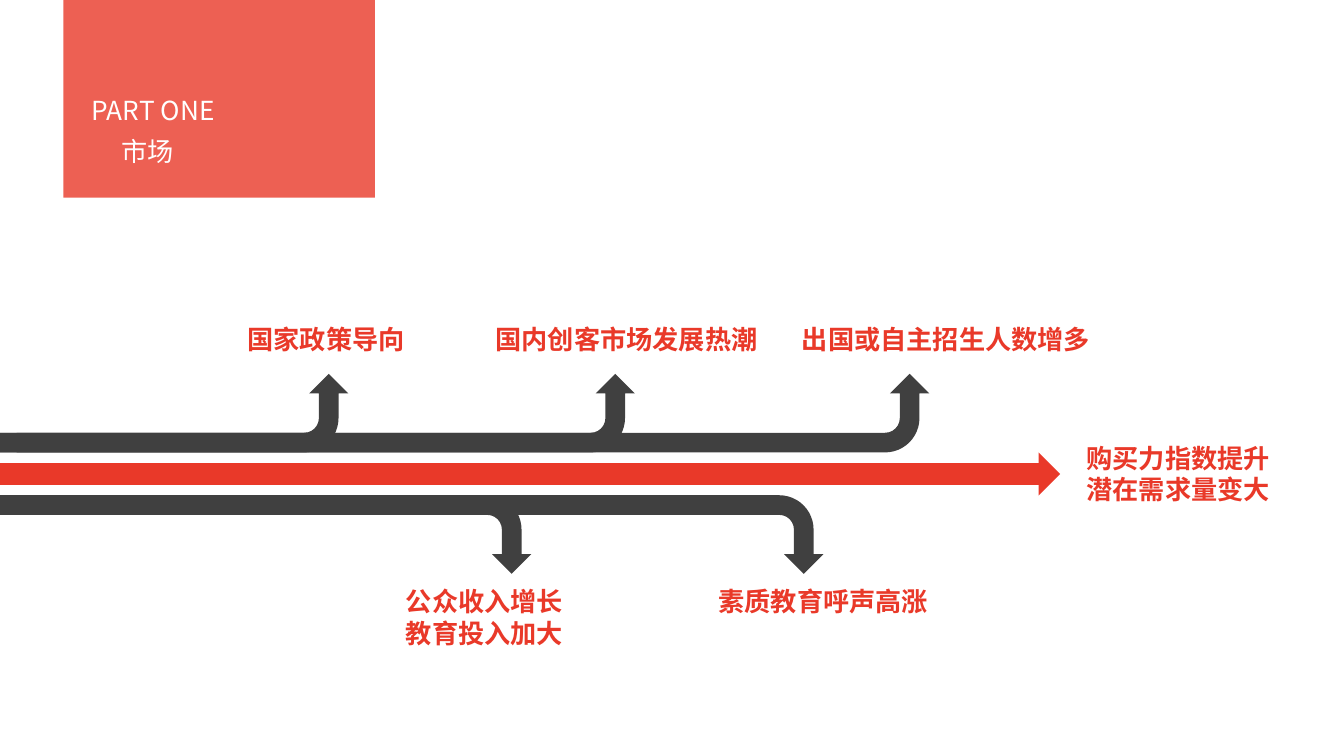
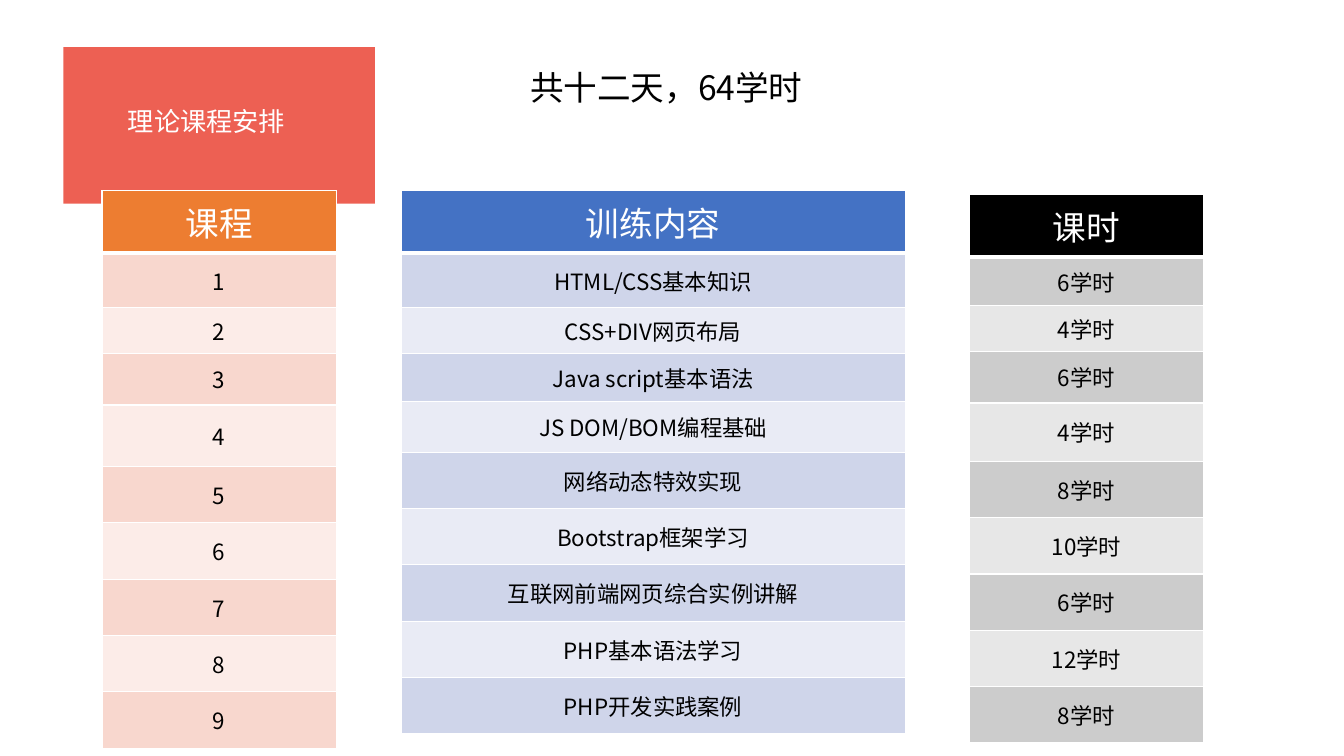
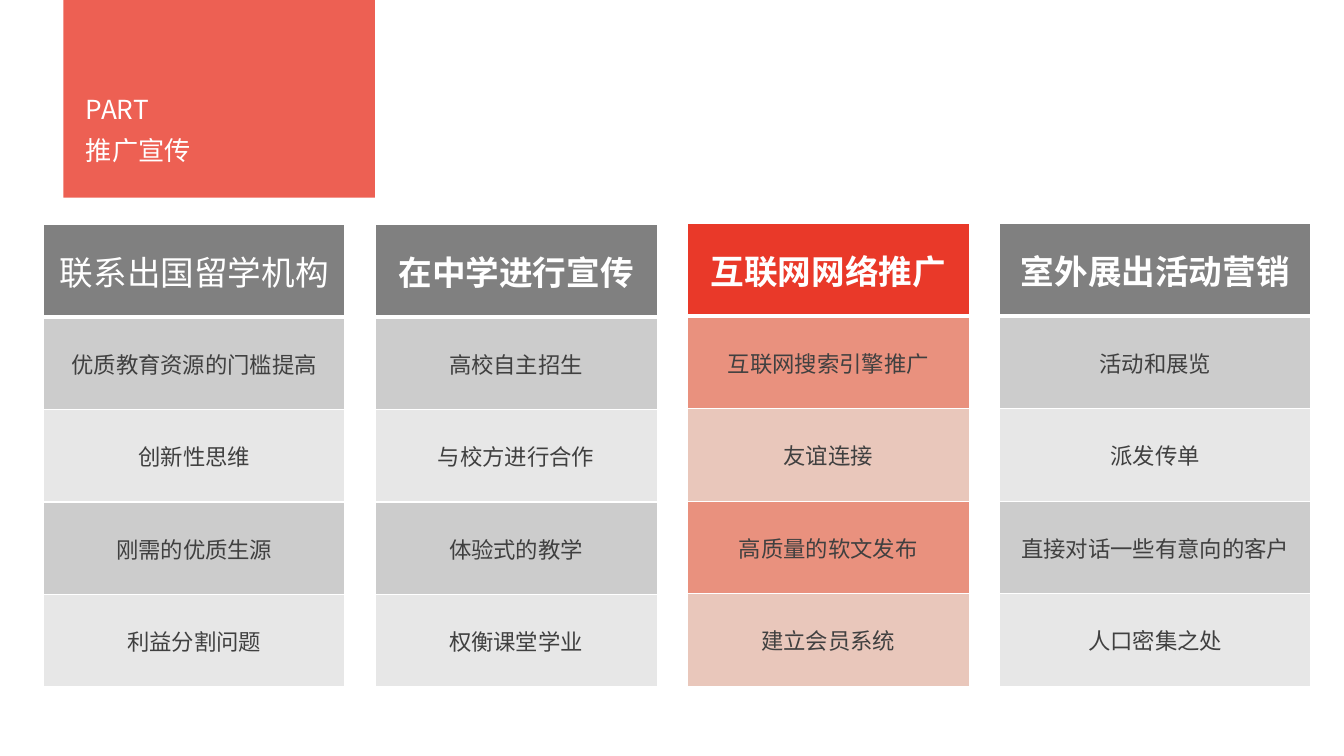
from lxml.etree import SubElement
from pptx import Presentation
from pptx.dml.color import RGBColor
from pptx.enum.shapes import MSO_SHAPE
from pptx.enum.text import MSO_ANCHOR, MSO_AUTO_SIZE, PP_ALIGN
from pptx.oxml import parse_xml
from pptx.oxml.ns import nsdecls, qn
from pptx.util import Cm, Pt

FONT = "Noto Sans CJK SC"
LABEL_SIZE, HEADING_SIZE, CELL_SIZE = 18.7, 24, 16
COLORS = {
    "red": "E93929",
    "dark": "404040",
    "gray": "808080",
    "white": "FFFFFF",
    "black": "000000",
    "blue": "4472C4",
    "orange": "ED7D31",
}
BANDS = {
    "blue": ("CFD5EA", "E9EBF5"),
    "orange": ("F8D7CE", "FCECE8"),
    "black": ("CCCCCC", "E7E7E7"),
    "gray": ("CCCCCC", "E7E7E7"),
    "red": ("E9917E", "E9C7BB"),
}


def format_text(text_frame, size, color, bold=False, alignment=PP_ALIGN.LEFT):
    """Apply one character style and alignment to all paragraphs."""
    for paragraph in text_frame.paragraphs:
        paragraph.alignment = alignment
        for run in paragraph.runs:
            run.font.size = Pt(size)
            run.font.bold = bold
            run.font.name = FONT
            run.font.color.rgb = RGBColor.from_string(COLORS[color])
            SubElement(run.font._element, qn("a:ea"), typeface=FONT)


def add_filled_shape(slide, preset, left, top, width, height, color):
    """Add a preset shape with a plain fill and no outline."""
    shape = slide.shapes.add_shape(preset, Cm(left), Cm(top), Cm(width), Cm(height))
    shape.shadow.inherit = False
    shape.fill.solid()
    shape.fill.fore_color.rgb = RGBColor.from_string(COLORS[color])
    shape.line.fill.background()
    return shape


def add_titled_slide(presentation, text, title_box, band_top, band_height):
    """Add a slide whose title stands on the translucent red band."""
    slide = presentation.slides.add_slide(presentation.slide_layouts[5])
    band = add_filled_shape(slide, MSO_SHAPE.RECTANGLE, 1.6, band_top, 7.85, band_height, "red")
    for color in band.element.spPr.iter(qn("a:srgbClr")):
        SubElement(color, qn("a:alpha"), val="80000")
    title = slide.shapes.title
    title.element.addprevious(band.element)
    title.left, title.top, title.width, title.height = [Cm(length) for length in title_box]
    text_frame = title.text_frame
    text_frame.text = text
    text_frame.word_wrap = True
    text_frame.auto_size = MSO_AUTO_SIZE.NONE
    text_frame.vertical_anchor = MSO_ANCHOR.TOP
    format_text(text_frame, LABEL_SIZE, "white")
    for paragraph in text_frame.paragraphs:
        paragraph.line_spacing = 1.3
    return slide


def add_label(slide, text, left, top, width, height, size=LABEL_SIZE, color="red", bold=True):
    """Add a text box that keeps its given line breaks."""
    label = slide.shapes.add_textbox(Cm(left), Cm(top), Cm(width), Cm(height))
    label.text_frame.text = text
    label.text_frame.word_wrap = False
    format_text(label.text_frame, size, color, bold)


def add_branch(slide, left, length, top, upward):
    """Add a horizontal shaft that bends up or down at its right end."""
    depth = 1.98
    branch = add_filled_shape(
        slide, MSO_SHAPE.BENT_ARROW,
        left + (length - depth) / 2, top + (depth - length) / 2, depth, length, "dark",
    )
    branch.rotation = 90
    if upward:
        branch.element.spPr.get_or_add_xfrm().set("flipH", "1")


def set_borders(cell, bottom_width):
    """Give a cell white borders with a chosen bottom width."""
    properties = cell._tc.get_or_add_tcPr()
    widths = {"lnL": 1, "lnR": 1, "lnT": 1, "lnB": bottom_width}
    for position, (tag, width) in enumerate(widths.items()):
        properties.insert(position, parse_xml(
            f'<a:{tag} {nsdecls("a")} w="{Pt(width)}"><a:solidFill>'
            f'<a:srgbClr val="{COLORS["white"]}"/></a:solidFill></a:{tag}>'
        ))


def add_column_table(slide, left, top, width, heights, texts, theme, text_color, bold=False):
    """Add a one-column table with a heading and banded rows."""
    frame = slide.shapes.add_table(
        len(texts), 1, Cm(left), Cm(top), Cm(width), Cm(sum(heights))
    )
    table = frame.table
    for index, (text, height) in enumerate(zip(texts, heights)):
        heading = index == 0
        table.rows[index].height = Cm(height)
        cell = table.cell(index, 0)
        cell.text_frame.text = text
        cell.vertical_anchor = MSO_ANCHOR.MIDDLE
        cell.margin_left = cell.margin_right = Cm(0.34)
        cell.margin_top = cell.margin_bottom = Cm(0.17)
        fill = COLORS[theme] if heading else BANDS[theme][(index - 1) % 2]
        cell.fill.solid()
        cell.fill.fore_color.rgb = RGBColor.from_string(fill)
        set_borders(cell, 3 if heading else 1)
        format_text(
            cell.text_frame,
            HEADING_SIZE if heading else CELL_SIZE,
            "white" if heading else text_color,
            bold and heading,
            PP_ALIGN.CENTER,
        )


def add_market_slide(presentation):
    """Build the slide on the forces that drive the market."""
    slide = add_titled_slide(presentation, "PART ONE\n市场", (2.06, 2.01, 6.91, 2.34), 0, 4.98)
    subtitle = slide.shapes.title.text_frame.paragraphs[1]
    subtitle._p.get_or_add_pPr().set("marL", str(Cm(0.74)))
    add_filled_shape(slide, MSO_SHAPE.RIGHT_ARROW, 0, 11.4, 26.72, 1.09, "red")
    for left, length in ((0, 23.42), (0, 16), (0.42, 8.36)):
        add_branch(slide, left, length, 9.42, True)
    for length in (20.75, 13.39):
        add_branch(slide, 0, length, 12.48, False)
    labels = (
        ("国家政策导向", 5.99, 8.03, 4.55),
        ("国内创客市场发展热潮", 12.24, 8.03, 7.14),
        ("出国或自主招生人数增多", 19.96, 8.03, 7.82),
        ("购买力指数提升\n潜在需求量变大", 27.13, 11.02, 5.16),
        ("公众收入增长\n教育投入加大", 9.98, 14.63, 4.5),
        ("素质教育呼声高涨", 17.86, 14.63, 5.82),
    )
    for text, left, top, width in labels:
        add_label(slide, text, left, top, width, 1.85 if "\n" in text else 1.07)


def add_course_slide(presentation):
    """Build the slide with the course timetable."""
    slide = add_titled_slide(presentation, "理论课程安排", (2.97, 2.29, 6.88, 1.3), 1.19, 3.94)
    contents = [
        "训练内容", "HTML/CSS基本知识", "CSS+DIV网页布局", "Java script基本语法",
        "JS DOM/BOM编程基础", "网络动态特效实现", "Bootstrap框架学习",
        "互联网前端网页综合实例讲解", "PHP基本语法学习", "PHP开发实践案例",
    ]
    courses = ["课程"] + [str(number) for number in range(1, 10)]
    hours = ["课时"] + [f"{count}学时" for count in (6, 4, 6, 4, 8, 10, 6, 12, 8)]
    tables = (
        (10.11, 4.81, 12.7, (1.37, 1.02, 1.22, 1.27), contents, "blue"),
        (2.57, 4.81, 5.9, (1.37, 1.02, 1.3, 1.55), courses, "orange"),
        (24.43, 4.91, 5.9, (1.22, 1.02, 1.3, 1.47), hours, "black"),
    )
    for left, top, width, upper_heights, texts, theme in tables:
        heights = (1.34, *upper_heights, *[1.42] * 5)
        add_column_table(slide, left, top, width, heights, texts, theme, "black")
    add_label(slide, "共十二天，64学时", 13.11, 1.55, 9.04, 1.27, HEADING_SIZE, "black", False)


def add_promotion_slide(presentation):
    """Build the slide with four promotion channels."""
    slide = add_titled_slide(presentation, "PART\n推广宣传", (1.91, 1.98, 6.88, 2.34), 0, 4.98)
    channels = (
        (7.59, 5.66, "gray", False,
         ("联系出国留学机构", "优质教育资源的门槛提高", "创新性思维", "刚需的优质生源", "利益分割问题")),
        (7.11, 5.66, "gray", True,
         ("在中学进行宣传", "高校自主招生", "与校方进行合作", "体验式的教学", "权衡课堂学业")),
        (7.11, 5.64, "red", True,
         ("互联网网络推广", "互联网搜索引擎推广", "友谊连接", "高质量的软文发布", "建立会员系统")),
        (7.85, 5.64, "gray", True,
         ("室外展出活动营销", "活动和展览", "派发传单", "直接对话一些有意向的客户", "人口密集之处")),
    )
    left, gap = 1.1, 0.76
    for width, top, theme, bold, texts in channels:
        add_column_table(slide, left, top, width, [2.33] * 5, texts, theme, "dark", bold)
        left += width + gap


def main():
    """Build and save the presentation."""
    presentation = Presentation()
    presentation.slide_width, presentation.slide_height = Cm(33.87), Cm(19.05)
    add_market_slide(presentation)
    add_course_slide(presentation)
    add_promotion_slide(presentation)
    presentation.save("out.pptx")


if __name__ == "__main__":
    main()
